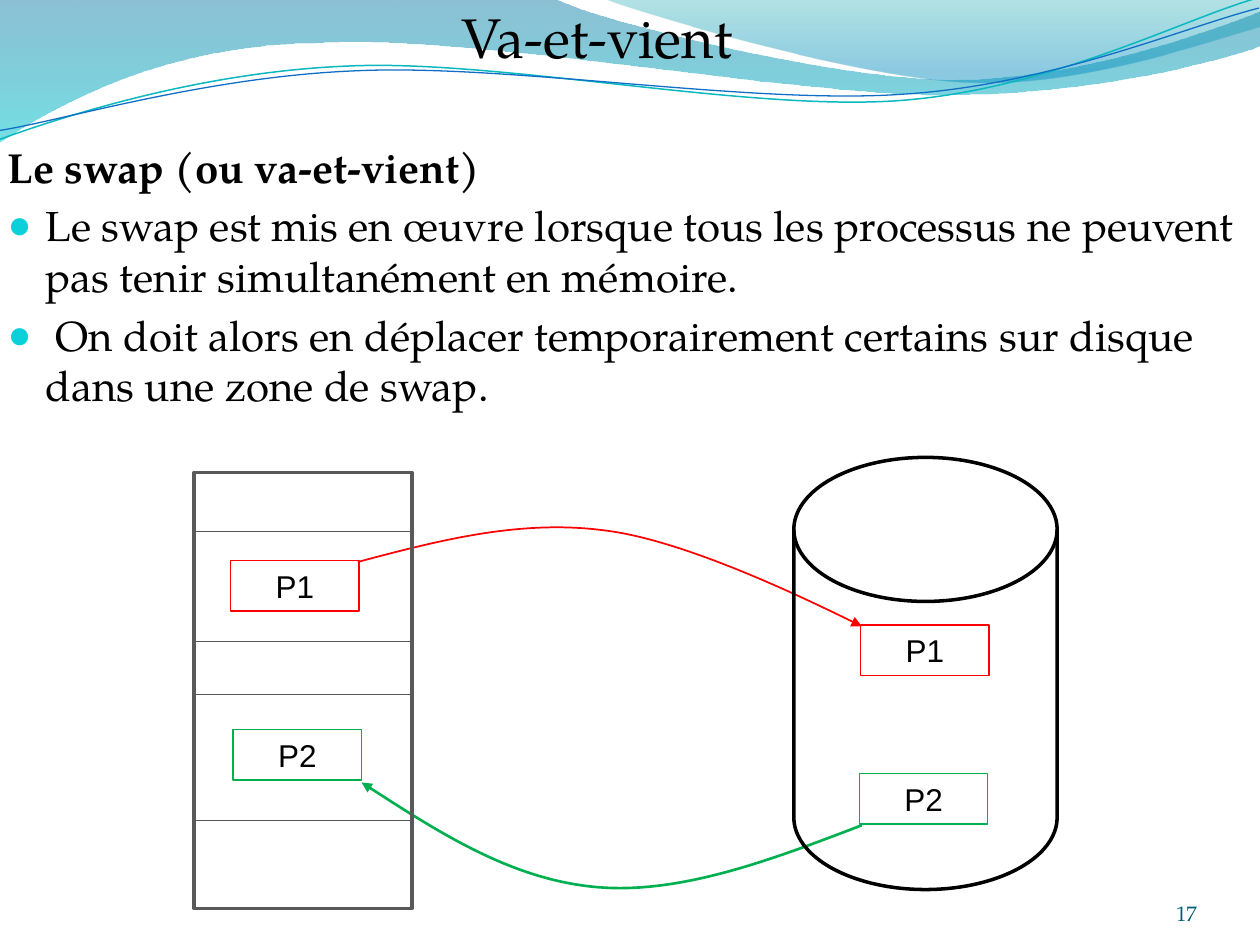
from lxml.etree import SubElement
from pptx import Presentation
from pptx.dml.color import RGBColor
from pptx.enum.shapes import MSO_CONNECTOR as Connector, MSO_SHAPE as Preset
from pptx.enum.text import MSO_ANCHOR as Anchor, MSO_AUTO_SIZE as AutoSize, PP_ALIGN as Align
from pptx.oxml.ns import qn
from pptx.util import Pt

PX = 9144  # EMU per px, 100 px to the inch
SERIF = "TeX Gyre Pagella"
COLORS = {
    "black": "000000", "number": "045D75", "bullet": "0BD0D9",
    "grey": "595959", "red": "FF0000", "green": "00B050",
    "teal line": "0AB8BF", "blue line": "0F6FC6",
    "deep blue": "0074A1", "cyan": "00C6CF", "teal": "00A1A9", "sky": "008BBF",
}


def write(para, text, size=24, font=SERIF, color="black", bold=False, align=Align.LEFT):
    para.alignment = align
    span = para.add_run()
    span.text = text
    span.font.size = Pt(size)
    span.font.name = font
    span.font.bold = bold
    span.font.color.rgb = RGBColor.from_string(COLORS[color])


def add_curve(shapes, start, pieces, closed=False):
    """Draw straight pieces (one point) and cubic pieces (three points)."""
    builder = shapes.build_freeform(*start, scale=PX)
    builder.add_line_segments([point for piece in pieces for point in piece], close=closed)
    curve = builder.convert_to_shape()
    curve.shadow.inherit = False
    # Turn each run of three segments into one cubic segment
    segments = iter(list(curve.element.spPr.iter(qn("a:lnTo"))))
    for piece in pieces:
        steps = [next(segments) for _ in piece]
        if len(steps) == 3:
            steps[0].tag = qn("a:cubicBezTo")
            for step in steps[1:]:
                steps[0].append(step[0])
                step.getparent().remove(step)
    return curve


deck = Presentation()
deck.slide_width, deck.slide_height = 1000 * PX, 750 * PX
page = deck.slides.add_slide(deck.slide_layouts[1])
shapes = page.shapes
title, body = page.placeholders

# Translucent waves: start, pieces, stops of (position, colour, opacity %)
waves = [
    ((0, -1), [[(440, -1)], [(476, 17), (664, 63), (758, 63)],
               [(853, 63), (958, 26), (1000, 9)], [(1001, 36)],
               [(983, 44), (870, 76), (746, 75)], [(622, 75), (382, 28), (257, 34)],
               [(129, 35), (46, 83), (-1, 113)]],
     [(0, "deep blue", 45), (1, "cyan", 55)]),
    ((479, -1), [[(509, 11), (682, 62), (769, 65)], [(856, 69), (961, 32), (1000, 21)],
                 [(1000, 0)]],
     [(0, "teal", 30), (0.8, "sky", 45)]),
]
for start, pieces, stops in waves:
    wave = add_curve(shapes, start, pieces, closed=True)
    wave.line.fill.background()
    wave.fill.gradient()
    wave.fill.gradient_angle = 270
    for stop, (position, color, _) in zip(wave.fill.gradient_stops, stops):
        stop.position = position
        stop.color.rgb = RGBColor.from_string(COLORS[color])
    for tint, (_, _, opacity) in zip(wave.element.spPr.iter(qn("a:srgbClr")), stops):
        SubElement(tint, qn("a:alpha"), val=str(opacity * 1000))

# Thin wave lines, tilted, and the two swap arrows
wave_lines = [
    ((-2, 87), [[(47, 72), (158, 41), (277, 42)], [(396, 42), (591, 93), (712, 90)],
                [(832, 87), (940, 36), (1000, 22)]], "teal line", 0.85),
    ((-2, 80), [[(46, 75), (164, 45), (283, 46)], [(404, 46), (596, 88), (716, 85)],
                [(835, 83), (942, 42), (1001, 30)]], "blue line", 0.75),
]
swap_arrows = [
    ((284, 446), [[(348, 429), (413, 412), (480, 421)],
                  [(547, 429), (684, 497), (684, 497)]], "red", 1),
    ((684, 655), [[(611, 683), (539, 710), (473, 704)],
                  [(407, 698), (347, 660), (287, 621)]], "green", 1.5),
]
for start, pieces, color, weight in wave_lines + swap_arrows:
    curve = add_curve(shapes, start, pieces)
    curve.fill.background()
    curve.line.color.rgb = RGBColor.from_string(COLORS[color])
    curve.line.width = Pt(weight)
    if color.endswith("line"):
        curve.rotation = 357.3
    else:
        SubElement(curve.line._get_or_add_ln(), qn("a:tailEnd"), type="triangle")

# Title and body, in front of the waves
for holder, (left, top, width, height) in ((title, (356, -3, 236, 64)),
                                           (body, (-4, 107, 1004, 643))):
    holder.left, holder.top = left * PX, top * PX
    holder.width, holder.height = width * PX, height * PX
    holder.text_frame.auto_size = AutoSize.NONE
    holder.text_frame.vertical_anchor = Anchor.TOP
    holder.element.getparent().append(holder.element)
title.text_frame.word_wrap = False
write(title.text_frame.paragraphs[0], "Va-et-vient", size=32, align=Align.CENTER)

lines = [
    "Le swap (ou va-et-vient)",
    "Le swap est mis en œuvre lorsque tous les processus ne peuvent pas tenir "
    "simultanément en mémoire.",
    " On doit alors en déplacer temporairement certains sur disque dans une zone de swap.",
]
for index, text in enumerate(lines):
    para = body.text_frame.paragraphs[0] if index == 0 else body.text_frame.add_paragraph()
    write(para, text, bold=index == 0)
    para.space_before = Pt(4.8)
    props = para._p.get_or_add_pPr()
    props.set("marL", str(30 * PX))
    props.set("indent", str(-30 * PX))
    if index == 0:
        SubElement(props, qn("a:buNone"))
    else:
        SubElement(SubElement(props, qn("a:buClr")), qn("a:srgbClr"), val=COLORS["bullet"])
        SubElement(props, qn("a:buSzPct"), val="95000")
        SubElement(props, qn("a:buFont"), typeface="Arial")
        SubElement(props, qn("a:buChar"), char="●")

# Page number
number = shapes.add_textbox(867 * PX, 695 * PX, 83 * PX, 40 * PX).text_frame
number.word_wrap = True
number.vertical_anchor = Anchor.BOTTOM
number.margin_left = number.margin_right = number.margin_top = number.margin_bottom = 0
write(number.paragraphs[0], "17", size=12, color="number", align=Align.RIGHT)

# Disk, memory and the processes in each
boxes = [
    (Preset.FLOWCHART_DIRECT_ACCESS_STORAGE, 563, 430, 343, 209, "black", 2, ""),
    (Preset.RECTANGLE, 154, 375, 173, 346, "grey", 2, ""),
    (Preset.RECTANGLE, 683, 496, 102, 40, "red", 0.75, "P1"),
    (Preset.RECTANGLE, 682, 614, 102, 40, "green", 0.75, "P2"),
    (Preset.RECTANGLE, 183, 445, 102, 40, "red", 0.75, "P1"),
    (Preset.RECTANGLE, 185, 579, 102, 40, "green", 0.75, "P2"),
]
for preset, left, top, width, height, color, weight, label in boxes:
    box = shapes.add_shape(preset, left * PX, top * PX, width * PX, height * PX)
    box.shadow.inherit = False
    box.fill.background()
    box.line.color.rgb = RGBColor.from_string(COLORS[color])
    box.line.width = Pt(weight)
    if label:
        write(box.text_frame.paragraphs[0], label, size=18, font="Arial", align=Align.CENTER)
    if preset != Preset.RECTANGLE:
        box.rotation = 270

# Memory partitions
for y in (422, 509, 551, 651):
    divider = shapes.add_connector(Connector.STRAIGHT, 154 * PX, y * PX, 327 * PX, y * PX)
    divider.line.color.rgb = RGBColor.from_string(COLORS["grey"])
    divider.line.width = Pt(0.75)
    SubElement(divider.element.spPr, qn("a:effectLst"))

deck.save("out.pptx")
